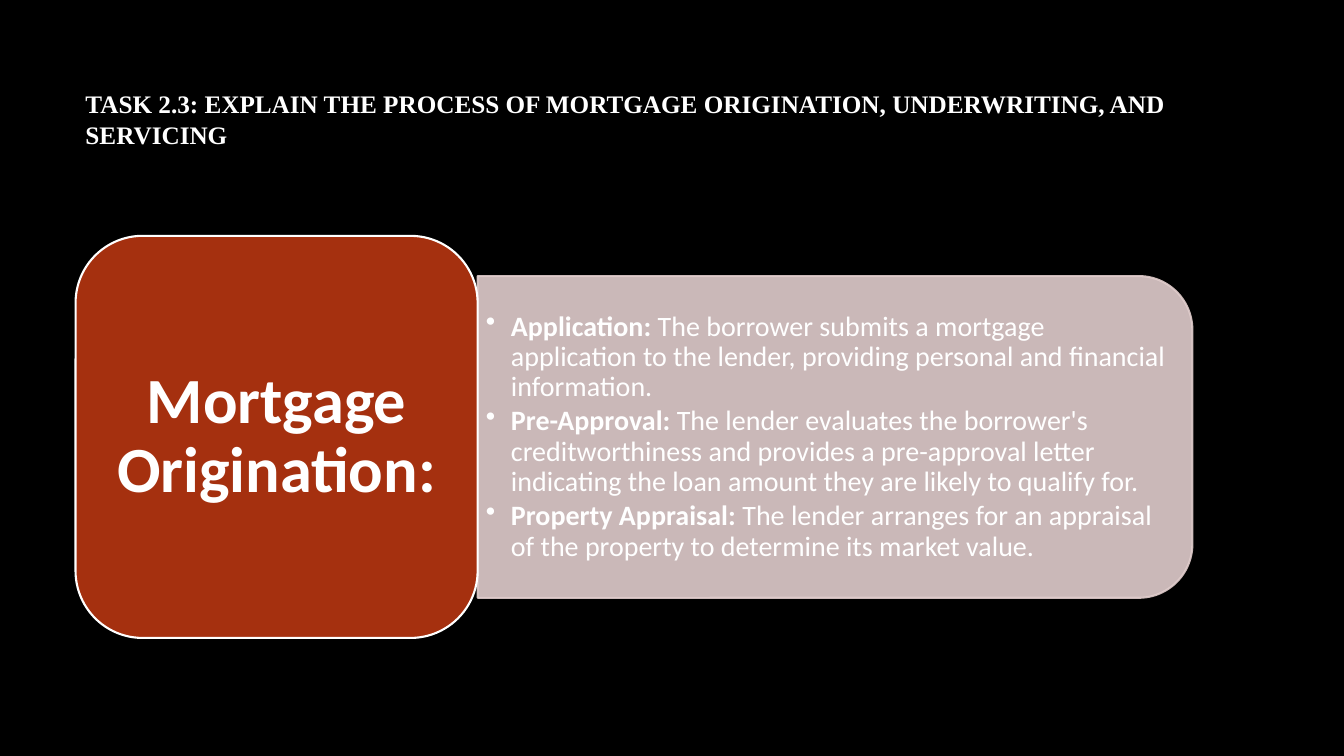
from lxml.etree import SubElement
from pptx import Presentation
from pptx.dml.color import RGBColor
from pptx.enum.shapes import MSO_SHAPE as Shape
from pptx.enum.text import MSO_ANCHOR as Anchor, PP_ALIGN as Align
from pptx.oxml.ns import qn
from pptx.util import Pt

TITLE = "TASK 2.3: EXPLAIN THE PROCESS OF MORTGAGE ORIGINATION, UNDERWRITING, AND SERVICING"
STAGE = "Mortgage Origination:"
STEPS = [
    ("Application:", " The borrower submits a mortgage application to the lender, "
     "providing personal and financial information."),
    ("Pre-Approval:", " The lender evaluates the borrower's creditworthiness and provides "
     "a pre-approval letter indicating the loan amount they are likely to qualify for."),
    ("Property Appraisal:", " The lender arranges for an appraisal of the property "
     "to determine its market value."),
]

BLACK = RGBColor(0x00, 0x00, 0x00)
WHITE = RGBColor(0xFF, 0xFF, 0xFF)
RUST = RGBColor(0xA5, 0x30, 0x0F)
ROSE = RGBColor(0xE1, 0xCD, 0xCC)

LEFT = 54
CARD_TOP, CARD_SIZE = 168.5, 287.2
PANEL_WIDTH, PANEL_HEIGHT = 510.5, 229.8
PANEL_LEFT = LEFT + CARD_SIZE
MIDDLE = CARD_TOP + CARD_SIZE / 2
STEPS_WIDTH, STEPS_HEIGHT = 499.7, 207.4


def set_frame(box, left, top, right, bottom):
    frame = box.text_frame
    frame.word_wrap = True
    frame.vertical_anchor = Anchor.MIDDLE
    frame.margin_left, frame.margin_top = Pt(left), Pt(top)
    frame.margin_right, frame.margin_bottom = Pt(right), Pt(bottom)
    return frame


def style_run(span, face, size, bold=True):
    span.font.name = face
    span.font.size = Pt(size)
    span.font.bold = bold
    span.font.color.rgb = WHITE


def add_block(page, kind, left, top, width, height, fill, line):
    block = page.shapes.add_shape(kind, Pt(left), Pt(top), Pt(width), Pt(height))
    block.shadow.inherit = False
    block.fill.solid()
    block.fill.fore_color.rgb = fill
    block.line.color.rgb = line
    block.line.width = Pt(1.5)
    return block


def add_title(page):
    box = page.shapes.add_textbox(Pt(LEFT), Pt(48.2), Pt(798), Pt(114.5))
    frame = set_frame(box, 7.2, 3.6, 7.2, 44.6)
    frame.text = TITLE
    style_run(frame.paragraphs[0].runs[0], "Times New Roman", 18)


def add_panel(page):
    center = PANEL_LEFT + PANEL_WIDTH / 2
    panel = add_block(page, Shape.ROUND_2_SAME_RECTANGLE,
                      center - PANEL_HEIGHT / 2, MIDDLE - PANEL_WIDTH / 2,
                      PANEL_HEIGHT, PANEL_WIDTH, ROSE, ROSE)
    panel.rotation = 90
    for color in panel.element.spPr.iter(qn("a:srgbClr")):
        SubElement(color, qn("a:alpha"), val="90000")


def add_steps(page):
    box = page.shapes.add_textbox(Pt(PANEL_LEFT), Pt(MIDDLE - STEPS_HEIGHT / 2),
                                  Pt(STEPS_WIDTH), Pt(STEPS_HEIGHT))
    frame = set_frame(box, 5.8, 2.9, 5.8, 2.9)
    for index, (label, detail) in enumerate(STEPS):
        para = frame.add_paragraph() if index else frame.paragraphs[0]
        para.line_spacing = 0.9
        para.space_after = Pt(3)
        for words, bold in ((label, True), (detail, False)):
            span = para.add_run()
            span.text = words
            style_run(span, "Calibri", 20, bold)
        layout = para._p.get_or_add_pPr()
        layout.set("marL", str(Pt(18)))
        layout.set("indent", str(Pt(-18)))
        SubElement(layout, qn("a:buChar"), char="•")


def add_card(page):
    card = add_block(page, Shape.ROUNDED_RECTANGLE, LEFT, CARD_TOP,
                     CARD_SIZE, CARD_SIZE, RUST, WHITE)
    frame = set_frame(card, 13.7, 7.2, 13.7, 7.2)
    frame.text = STAGE
    para = frame.paragraphs[0]
    para.alignment = Align.CENTER
    para.line_spacing = 0.9
    style_run(para.runs[0], "Calibri", 46)


def main():
    deck = Presentation()
    deck.slide_width, deck.slide_height = Pt(960), Pt(540)
    page = deck.slides.add_slide(deck.slide_layouts[6])
    page.background.fill.solid()
    page.background.fill.fore_color.rgb = BLACK
    add_title(page)
    add_panel(page)
    add_steps(page)
    add_card(page)
    deck.save("out.pptx")


if __name__ == "__main__":
    main()
